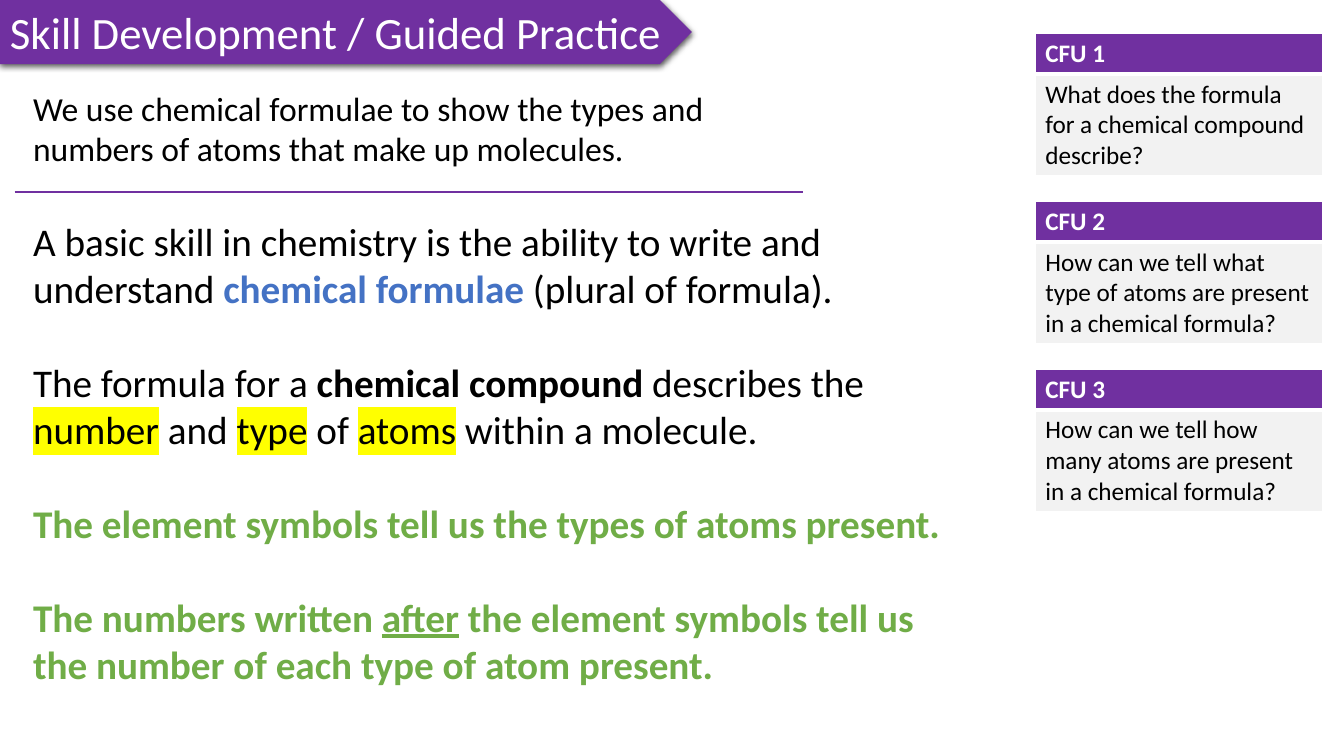
import lxml.etree
import pptx
import pptx.dml.color
import pptx.enum.shapes
import pptx.enum.text
import pptx.oxml
import pptx.oxml.ns
import pptx.util

RGBColor = pptx.dml.color.RGBColor
PURPLE = RGBColor(0x70, 0x30, 0xA0)
WHITE = RGBColor(0xFF, 0xFF, 0xFF)
BLACK = RGBColor(0, 0, 0)
GREY = RGBColor(0xF2, 0xF2, 0xF2)
BLUE = RGBColor(0x44, 0x72, 0xC4)
GREEN = RGBColor(0x70, 0xAD, 0x47)
YELLOW = RGBColor(0xFF, 0xFF, 0)

KEY_TERM = {"bold": True, "color": BLUE}
BOLD = {"bold": True}
MARKED = {"highlight": YELLOW}
RULE = {"bold": True, "color": GREEN}
RULE_UNDERLINED = {**RULE, "underline": True}

EXPLANATION = [
    [("A basic skill in chemistry is the ability to write and understand ", {}),
     ("chemical formulae ", KEY_TERM), ("(plural of formula).", {})],
    [("The formula for a ", {}), ("chemical compound ", BOLD), ("describes the ", {}),
     ("number", MARKED), (" and ", {}), ("type", MARKED), (" of ", {}),
     ("atoms", MARKED), (" within a molecule.", {})],
    [("The element symbols tell us the types of atoms present.", RULE)],
    [("The numbers written ", RULE), ("after", RULE_UNDERLINED),
     (" the element symbols tell us the number of each type of atom present.", RULE)],
]
QUESTIONS = [
    "What does the formula for a chemical compound describe?",
    "How can we tell what type of atoms are present in a chemical formula?",
    "How can we tell how many atoms are present in a chemical formula?",
]


def px(length):
    """96 px to the inch."""
    return pptx.util.Emu(length * 9525)


def drawing_xml(markup):
    return pptx.oxml.parse_xml(markup.replace(
        ">", f" {pptx.oxml.ns.nsdecls('a')}>", 1))


class LessonSlide:
    font_name = "Calibri"

    def __init__(self, deck):
        self.slide = deck.slides.add_slide(deck.slide_layouts[6])
        self.shapes = self.slide.shapes

    def fill_frame(self, frame, paragraphs, size, color=BLACK, gap=0):
        for index, runs in enumerate(paragraphs):
            paragraph = frame.add_paragraph() if index else frame.paragraphs[0]
            paragraph.alignment = pptx.enum.text.PP_ALIGN.LEFT
            if index:
                paragraph.space_before = pptx.util.Pt(gap)
            for words, changes in runs:
                run = paragraph.add_run()
                run.text = words
                style = {"name": self.font_name, "size": pptx.util.Pt(size),
                         "bold": False, "color": color, **changes}
                run.font.color.rgb = style.pop("color")
                highlight = style.pop("highlight", None)
                for attribute, value in style.items():
                    setattr(run.font, attribute, value)
                if highlight is not None:
                    fill = run.font._element.find(pptx.oxml.ns.qn("a:solidFill"))
                    fill.addnext(drawing_xml(
                        f'<a:highlight><a:srgbClr val="{highlight}"/></a:highlight>'))

    def banner(self, title, left, top, width, height):
        banner = self.shapes.add_shape(pptx.enum.shapes.MSO_SHAPE.PENTAGON,
                                       px(left), px(top), px(width), px(height))
        banner.shadow.inherit = False
        banner.fill.solid()
        banner.fill.fore_color.rgb = PURPLE
        banner.line.fill.background()
        effects = banner._element.spPr.find(pptx.oxml.ns.qn("a:effectLst"))
        effects.append(drawing_xml(
            '<a:outerShdw blurRad="57150" dist="19050" dir="5400000" algn="ctr" rotWithShape="0">'
            '<a:srgbClr val="000000"><a:alpha val="63000"/></a:srgbClr></a:outerShdw>'))
        banner.text_frame.word_wrap = False
        self.fill_frame(banner.text_frame, [[(title, {})]], 32, WHITE)

    def text(self, paragraphs, left, top, width, height, size, gap=0):
        box = self.shapes.add_textbox(px(left), px(top), px(width), px(height))
        box.text_frame.word_wrap = True
        self.fill_frame(box.text_frame, paragraphs, size, gap=gap)

    def divider(self, left, right, y):
        line = self.shapes.add_connector(pptx.enum.shapes.MSO_CONNECTOR.STRAIGHT,
                                         px(left), px(y), px(right), px(y))
        line.line.color.rgb = PURPLE
        line.line.width = pptx.util.Pt(1.5)
        lxml.etree.SubElement(line._element.spPr, pptx.oxml.ns.qn("a:effectLst"))

    def cell(self, cell, words, fill, color, bold, border_points):
        cell.fill.solid()
        cell.fill.fore_color.rgb = fill
        self.fill_frame(cell.text_frame, [[(words, {"bold": bold})]], 18, color)
        properties = cell._tc.get_or_add_tcPr()
        for index, (side, points) in enumerate(zip("LRTB", border_points)):
            properties.insert(index, drawing_xml(
                f'<a:ln{side} w="{points * 12700}"><a:solidFill>'
                f'<a:srgbClr val="{WHITE}"/></a:solidFill></a:ln{side}>'))

    def question_card(self, heading, question, left, top, width, row_heights):
        table = self.shapes.add_table(2, 1, px(left), px(top), px(width),
                                      px(sum(row_heights))).table
        for row, height in zip(table.rows, row_heights):
            row.height = px(height)
        self.cell(table.cell(0, 0), heading, PURPLE, WHITE, True, (1, 1, 1, 3))
        self.cell(table.cell(1, 0), question, GREY, BLACK, False, (1, 1, 3, 1))


def main():
    deck = pptx.Presentation()
    deck.slide_width, deck.slide_height = px(1280), px(720)
    lesson = LessonSlide(deck)

    # Heading and learning objective
    lesson.banner("Skill Development / Guided Practice", 0, 0, 659, 61)
    lesson.text([[("We use chemical formulae to show the types and numbers of "
                   "atoms that make up molecules.", {})]], 22, 79, 743, 87, 24)
    lesson.divider(14, 765, 183)

    # Explanation, with one line of space between paragraphs
    lesson.text(EXPLANATION, 22, 202, 914, 462, 28, gap=33.5)

    # Checks for understanding
    for index, question in enumerate(QUESTIONS):
        lesson.question_card(f"CFU {index + 1}", question,
                             986, 32 + 160 * index, 274, (37, 97))

    deck.save("out.pptx")


if __name__ == "__main__":
    main()
